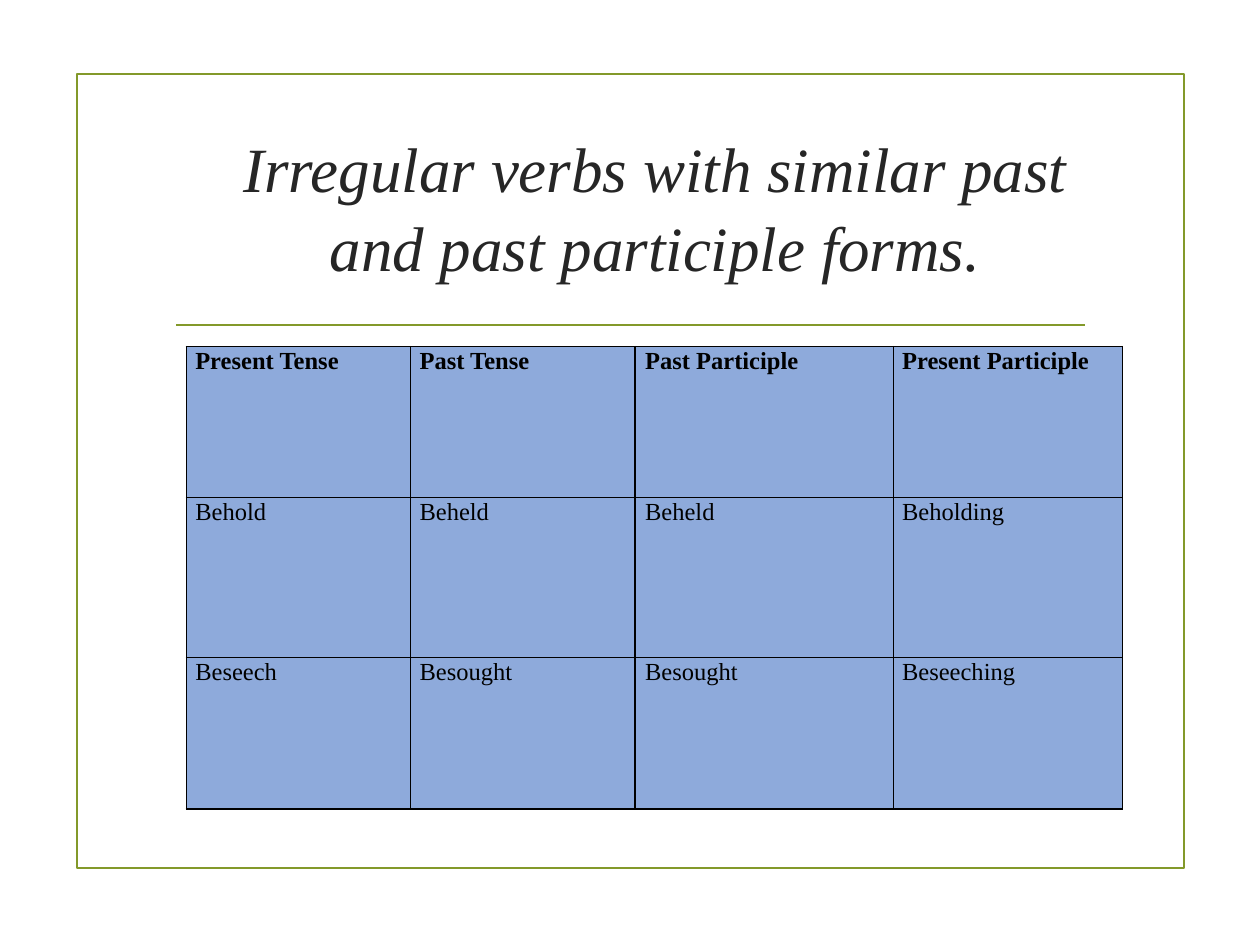
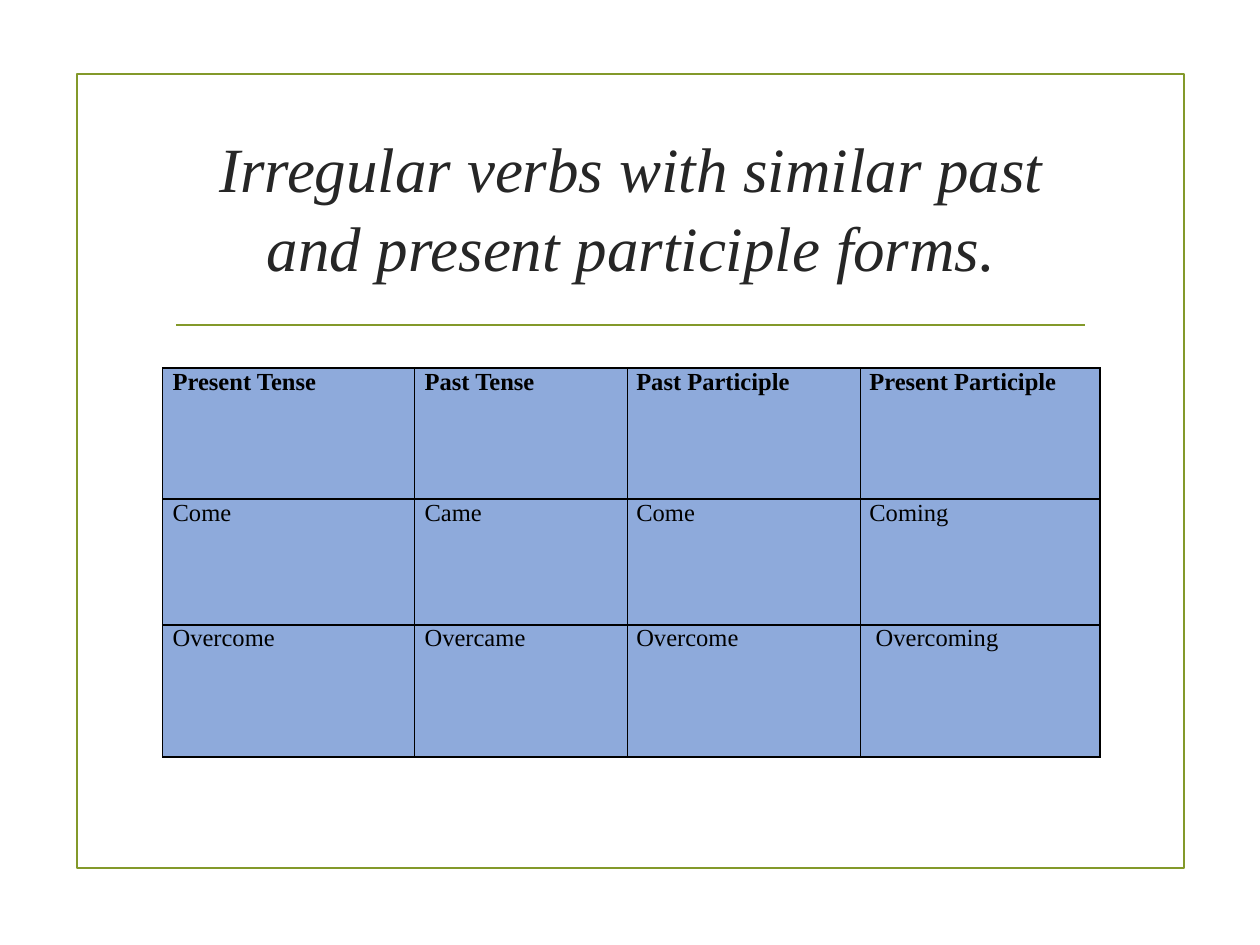
"""Build two slides that tabulate irregular verb forms."""
from dataclasses import dataclass

from lxml import etree
from pptx import Presentation
from pptx.dml.color import RGBColor
from pptx.enum import shapes, text
from pptx.oxml import ns
from pptx.util import Inches, Pt


@dataclass(frozen=True)
class Theme:
    """Colours, font and type sizes of the deck."""
    green: RGBColor = RGBColor.from_string("83992A")
    blue: RGBColor = RGBColor.from_string("8EAADB")
    title_ink: RGBColor = RGBColor.from_string("262626")
    cell_ink: RGBColor = RGBColor.from_string("000000")
    font: str = "Times New Roman"
    title_size: Pt = Pt(36)
    cell_size: Pt = Pt(14)
    cell_leading: Pt = Pt(16)
    rule_width: Pt = Pt(1.25)
    border_width: Pt = Pt(1)


THEME = Theme()
HEADINGS = ["Present Tense", "Past Tense", "Past Participle", "Present Participle"]


def add_span(para, words, size, color, bold=False, italic=False):
    """Add one formatted run to a paragraph."""
    span = para.add_run()
    span.text = words
    span.font.name = THEME.font
    span.font.size = size
    span.font.color.rgb = color
    span.font.bold = bold
    span.font.italic = italic


def indent_paragraph(para, inches):
    """Set the left indent of a whole paragraph."""
    properties = para._p.get_or_add_pPr()
    properties.set("marL", str(Inches(inches)))
    properties.set("indent", "0")


def add_frame(page):
    """Draw the green border and the rule below the title."""
    frame = page.shapes.add_shape(shapes.MSO_SHAPE.RECTANGLE, Inches(0.61),
                                  Inches(0.59), Inches(8.79), Inches(6.3))
    frame.shadow.inherit = False
    frame.fill.background()
    rule = page.shapes.add_connector(shapes.MSO_CONNECTOR.STRAIGHT, Inches(1.4),
                                     Inches(2.58), Inches(8.61), Inches(2.58))
    etree.SubElement(rule._element.spPr, ns.qn("a:effectLst"))
    for outline in (frame.line, rule.line):
        outline.color.rgb = THEME.green
        outline.width = THEME.rule_width


def add_title(page, words, indent):
    """Add the centred italic title."""
    box = page.shapes.add_textbox(Inches(1.29), Inches(0.83), Inches(7.44), Inches(1.59))
    frame = box.text_frame
    frame.word_wrap = True
    frame.vertical_anchor = text.MSO_ANCHOR.MIDDLE
    para = frame.paragraphs[0]
    para.alignment = text.PP_ALIGN.CENTER
    para.line_spacing = 1.05
    indent_paragraph(para, indent)
    add_span(para, words, THEME.title_size, THEME.title_ink, italic=True)


def add_borders(cell):
    """Draw a thin black line on all four sides of a cell."""
    properties = cell._tc.get_or_add_tcPr()
    for side in ("lnL", "lnR", "lnT", "lnB"):
        line = etree.SubElement(properties, ns.qn(f"a:{side}"), w=str(THEME.border_width))
        fill = etree.SubElement(line, ns.qn("a:solidFill"))
        etree.SubElement(fill, ns.qn("a:srgbClr"), val=str(THEME.cell_ink))


def fill_cell(cell, words, indent, bold):
    """Style one table cell and write its text."""
    cell.margin_left = cell.margin_right = cell.margin_top = cell.margin_bottom = 0
    add_borders(cell)
    cell.fill.solid()
    cell.fill.fore_color.rgb = THEME.blue
    para = cell.text_frame.paragraphs[0]
    para.line_spacing = THEME.cell_leading
    indent_paragraph(para, indent)
    add_span(para, words, THEME.cell_size, THEME.cell_ink, bold=bold)


def add_verb_table(page, left, top, widths, heights, indents, verbs):
    """Add the verb table and return it."""
    rows = [HEADINGS, *verbs]
    table = page.shapes.add_table(len(rows), len(widths), Inches(left), Inches(top),
                                  Inches(sum(widths)), Inches(sum(heights))).table
    table.first_row = table.horz_banding = False
    for column, width in zip(table.columns, widths):
        column.width = Inches(width)
    for row, height in zip(table.rows, heights):
        row.height = Inches(height)
    for r, forms in enumerate(rows):
        for c, form in enumerate(forms):
            fill_cell(table.cell(r, c), form, indents[c], bold=r == 0)
    return table


def add_page(deck, title, title_indent=0):
    """Add a framed slide with its title."""
    page = deck.slides.add_slide(deck.slide_layouts[6])
    add_frame(page)
    add_title(page, title, title_indent)
    return page


def main():
    """Build and save the deck."""
    deck = Presentation()
    deck.slide_width, deck.slide_height = Inches(10), Inches(7.5)

    page = add_page(deck, "Irregular verbs with similar past and past participle forms.", 0.38)
    add_verb_table(page, 1.48, 2.75, [1.78, 1.78, 2.05, 1.82], [1.2, 1.27, 1.2],
                   [0.07, 0.07, 0.08, 0.07],
                   [["Behold", "Beheld", "Beheld", "Beholding"],
                    ["Beseech", "Besought", "Besought", "Beseeching"]])

    page = add_page(deck, "Irregular verbs with similar past and present participle forms.")
    table = add_verb_table(page, 1.29, 2.92, [2, 1.69, 1.85, 1.9], [1.04, 1, 1.05],
                           [0.08, 0.08, 0.07, 0.07],
                           [["Come", "Came", "Come", "Coming"],
                            ["Overcome", "Overcame", "Overcome", "Overcoming"]])
    for cell in table.rows[2].cells:
        cell.text_frame.paragraphs[0].line_spacing = 1.0
    indent_paragraph(table.cell(2, 3).text_frame.paragraphs[0], 0.12)

    deck.save("out.pptx")


if __name__ == "__main__":
    main()
